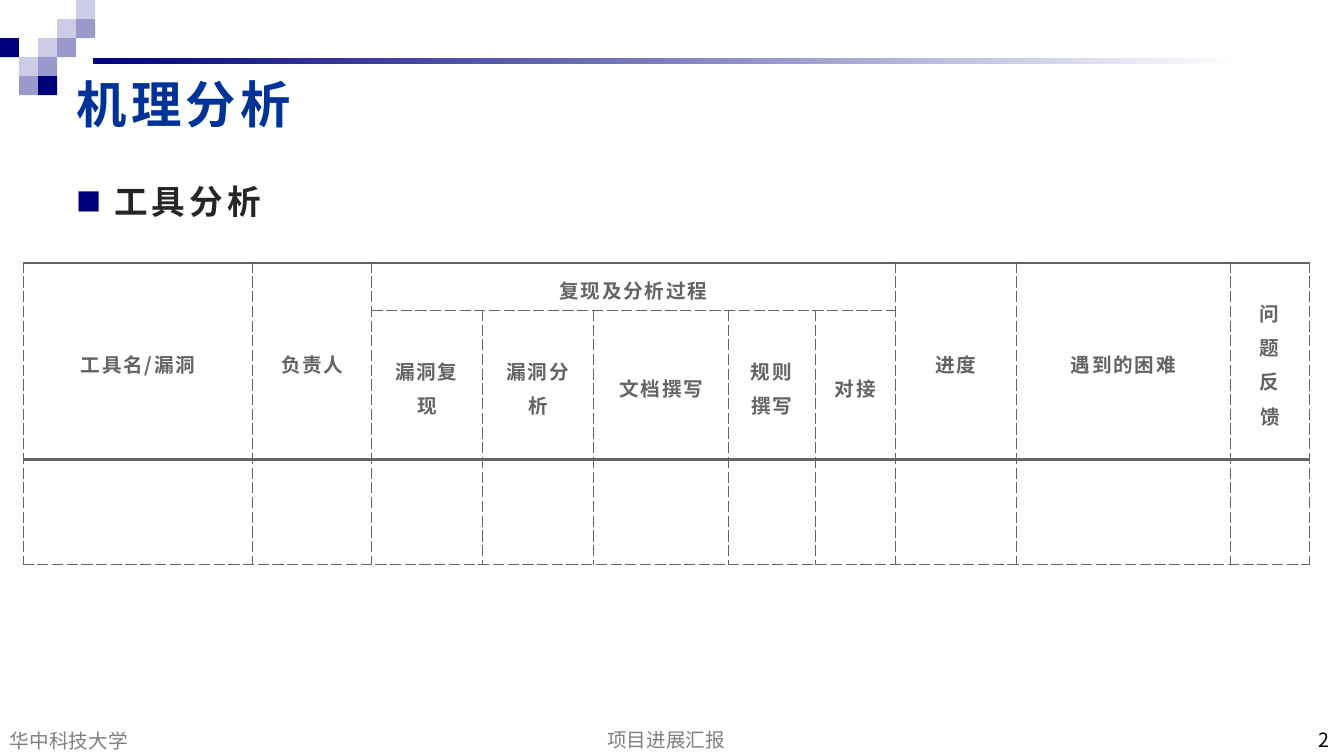
import pptx
import pptx.dml.color
import pptx.enum.shapes
import pptx.enum.text
import pptx.oxml
import pptx.oxml.ns
import pptx.util
from lxml import etree

Cm, Pt = pptx.util.Cm, pptx.util.Pt
ALIGN, ANCHOR = pptx.enum.text.PP_ALIGN, pptx.enum.text.MSO_ANCHOR
RECT = pptx.enum.shapes.MSO_SHAPE.RECTANGLE
qn = pptx.oxml.ns.qn
FONT = "Noto Sans CJK SC"
COLORS = {"navy": "00007D", "mid": "9999CC", "pale": "CCCCE6", "white": "FFFFFF", "title": "003399",
          "body": "262626", "table": "646464", "footer": "808080", "number": "000000"}

TITLE = "机理分析"
HEADING = "工具分析"
FOOTERS = [
    ("华中科技大学", 0, 17.96, 10.34, ALIGN.LEFT, "footer"),
    ("项目进展汇报", 11.43, 17.93, 10.72, ALIGN.CENTER, "footer"),
    ("2", 25.86, 17.93, 7.9, ALIGN.RIGHT, "number"),
]
MOSAIC = ["....p", "...pm", "n.pm.", ".pm..", ".mn.."]
MOSAIC_COLORS = {"n": "navy", "m": "mid", "p": "pale"}
SQUARE = 0.48

HEADER = ["工具名/漏洞", "负责人",
          ("复现及分析过程", ["漏洞复现", "漏洞分析", "文档撰写", "规则撰写", "对接"]),
          "进度", "遇到的困难", "问题反馈"]
COL_WIDTHS = [5.79, 3, 2.8, 2.8, 3.4, 2.18, 2.01, 3.05, 5.41, 1.98]
ROW_HEIGHTS = [1.19, 3.76, 2.64]


def rgb(name):
    return pptx.dml.color.RGBColor.from_string(COLORS[name])


def write(tf, text, size=14, color="table", bold=False, spacing=0,
          align=ALIGN.LEFT, anchor=ANCHOR.MIDDLE, line=1.0):
    tf.word_wrap = True
    tf.vertical_anchor = anchor
    p = tf.paragraphs[0]
    p.alignment, p.line_spacing = align, line
    r = p.add_run()
    r.text = text
    r.font.size, r.font.bold, r.font.name = Pt(size), bold, FONT
    r.font.color.rgb = rgb(color)
    rPr = r.font._element
    rPr.set("spc", str(round(spacing * 100)))
    etree.SubElement(rPr, qn("a:ea")).set("typeface", FONT)
    return p


def add_text(s, text, x, y, w, h, **fmt):
    return write(s.shapes.add_textbox(Cm(x), Cm(y), Cm(w), Cm(h)).text_frame, text, **fmt)


def add_rect(s, x, y, w, h):
    sp = s.shapes.add_shape(RECT, Cm(x), Cm(y), Cm(w), Cm(h))
    sp.shadow.inherit = False
    sp.line.fill.background()
    return sp


def add_bullet(p):
    pPr = p._p.get_or_add_pPr()
    pPr.set("marL", str(Cm(0.95)))
    pPr.set("indent", str(-Cm(0.95)))
    color = etree.SubElement(pPr, qn("a:buClr"))
    etree.SubElement(color, qn("a:srgbClr")).set("val", COLORS["navy"])
    etree.SubElement(pPr, qn("a:buSzPct")).set("val", "75000")
    etree.SubElement(pPr, qn("a:buFont")).set("typeface", FONT)
    etree.SubElement(pPr, qn("a:buChar")).set("char", "■")


def set_borders(cell, thick):
    tcPr = cell._tc.get_or_add_tcPr()
    for i, side in enumerate("LRTB"):
        width, dash = (2.25, "solid") if side in thick else (0.75, "sysDash")
        tcPr.insert(i, pptx.oxml.parse_xml(
            f'<a:ln{side} xmlns:a="http://schemas.openxmlformats.org/drawingml/2006/main" w="{Pt(width)}">'
            f'<a:solidFill><a:srgbClr val="{COLORS["table"]}"/></a:solidFill>'
            f'<a:prstDash val="{dash}"/></a:ln{side}>'))


def add_table(s):
    tbl = s.shapes.add_table(len(ROW_HEIGHTS), len(COL_WIDTHS), Cm(0.58), Cm(6.63),
                             Cm(sum(COL_WIDTHS)), Cm(sum(ROW_HEIGHTS))).table
    tbl.first_row = tbl.horz_banding = False
    for col, width in zip(tbl.columns, COL_WIDTHS):
        col.width = Cm(width)
    for row, height, thick in zip(tbl.rows, ROW_HEIGHTS, ["T", "B", "T"]):
        row.height = Cm(height)
        for cell in row.cells:
            cell.margin_left = cell.margin_right = Cm(0.48)
            cell.margin_top = cell.margin_bottom = Cm(0.15)
            cell.fill.solid()
            cell.fill.fore_color.rgb = rgb("white")
            set_borders(cell, thick)

    def label(row, col, text):
        cell = tbl.cell(row, col)
        write(cell.text_frame, text, bold=True, spacing=1.2, align=ALIGN.CENTER, line=1.2)
        cell.vertical_anchor = ANCHOR.MIDDLE

    col = 0
    for item in HEADER:
        text, steps = (item, []) if isinstance(item, str) else item
        span = max(1, len(steps))
        tbl.cell(0, col).merge(tbl.cell(0 if steps else 1, col + span - 1))
        label(0, col, text)
        for i, step in enumerate(steps):
            label(1, col + i, step)
        col += span


prs = pptx.Presentation()
prs.slide_width, prs.slide_height = Cm(33.87), Cm(19.05)
s = prs.slides.add_slide(prs.slide_layouts[6])

bar = add_rect(s, 2.35, 1.47, 28.88, 0.15)
bar.fill.gradient()
bar.fill.gradient_angle = 0
for stop, name in zip(bar.fill.gradient_stops, ["navy", "white"]):
    stop.color.rgb = rgb(name)

for row, line in enumerate(MOSAIC):
    for col, key in enumerate(line):
        if key in MOSAIC_COLORS:
            sp = add_rect(s, col * SQUARE, row * SQUARE, SQUARE, SQUARE)
            sp.fill.solid()
            sp.fill.fore_color.rgb = rgb(MOSAIC_COLORS[key])

add_text(s, TITLE, 1.68, 1.7, 23.19, 1.8, size=36, color="title", bold=True, spacing=3)
p = add_text(s, HEADING, 1.68, 4.17, 29.16, 1.9, size=24, color="body", bold=True,
             spacing=3, anchor=ANCHOR.TOP, line=1.25)
p.space_before = Pt(4.8)
add_bullet(p)
for text, x, y, w, align, color in FOOTERS:
    add_text(s, text, x, y, w, 1.12, color=color, align=align, anchor=ANCHOR.BOTTOM)
add_table(s)

prs.save("out.pptx")
